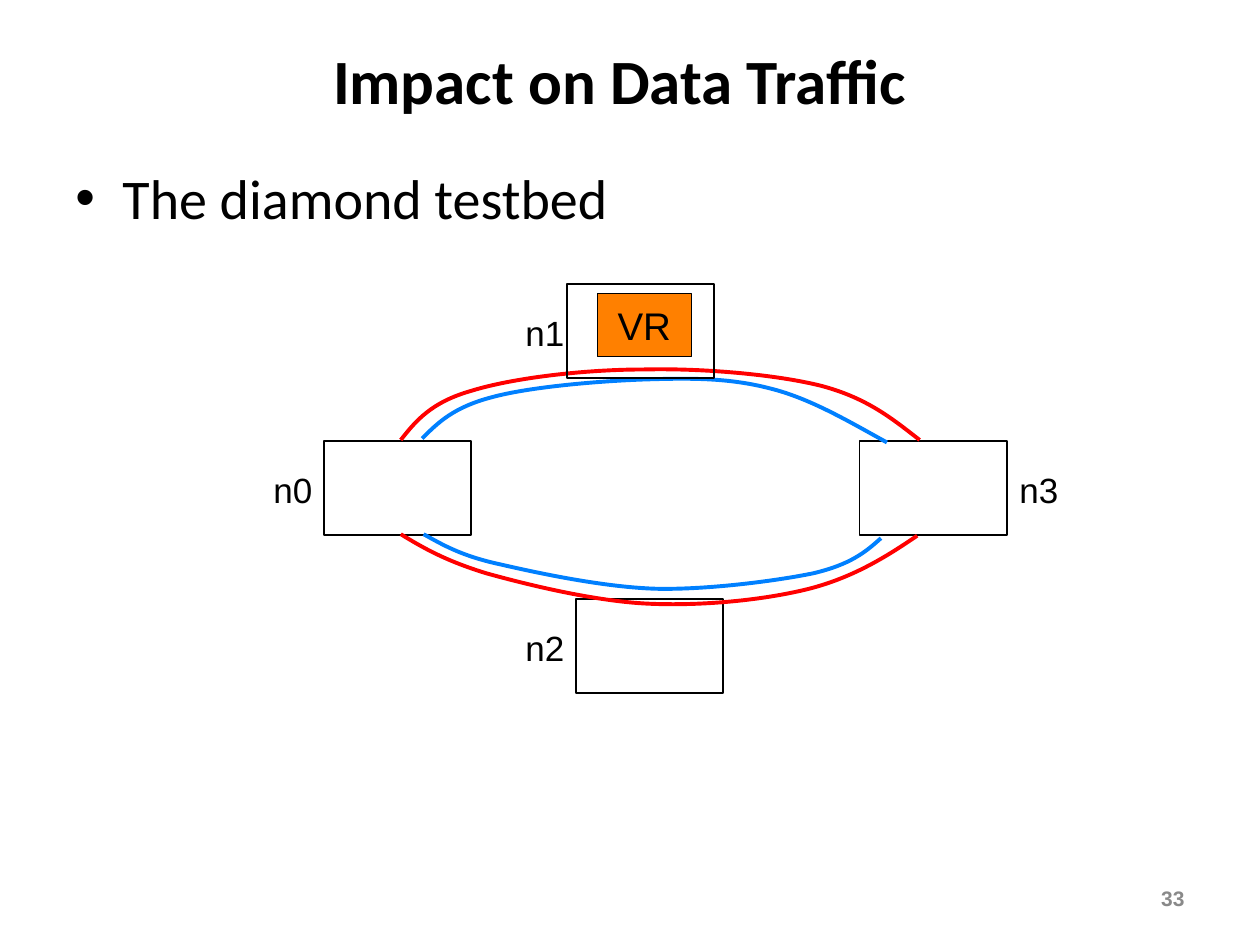
import pptx
import pptx.util
import pptx.dml.color
import pptx.enum.shapes
import pptx.enum.text
import pptx.oxml.ns
import lxml.etree

Cm = pptx.util.Cm
Pt = pptx.util.Pt
RGBColor = pptx.dml.color.RGBColor
Align = pptx.enum.text.PP_ALIGN
Anchor = pptx.enum.text.MSO_ANCHOR
qn = pptx.oxml.ns.qn

BLACK = RGBColor(0x00, 0x00, 0x00)
GREY = RGBColor(0x89, 0x89, 0x89)
ORANGE = RGBColor(0xFF, 0x80, 0x00)
RED = RGBColor(0xFF, 0x00, 0x00)
BLUE = RGBColor(0x00, 0x80, 0xFF)

NODE_W, NODE_H = 2.97, 1.9

# Node name: box left and top, label offset from box left
NODES = {
    "n0": (1.27, 3.17, -1.27),
    "n2": (6.35, 6.35, -1.27),
    "n3": (12.07, 3.17, NODE_W),
    "n1": (6.17, 0, -1.09),
}

# Each route: colour, then a start point and three points per Bezier arc
ROUTES = [
    (RED, [(2.82, 3.15),
           (3.12, 2.77), (3.43, 2.39), (4.24, 2.16),
           (5.08, 1.9), (6.53, 1.73), (7.72, 1.73),
           (8.89, 1.7), (10.39, 1.83), (11.3, 2.06),
           (12.24, 2.31), (12.75, 2.74), (13.28, 3.15)]),
    (BLUE, [(12.62, 3.2),
            (11.84, 2.77), (11.07, 2.31), (10.26, 2.11),
            (9.45, 1.9), (8.69, 1.9), (7.75, 1.93),
            (6.83, 1.96), (5.41, 2.08), (4.65, 2.29),
            (3.89, 2.49), (3.58, 2.79), (3.25, 3.12)]),
    (RED, [(2.82, 5.05),
           (3.28, 5.33), (3.73, 5.59), (4.55, 5.84),
           (5.38, 6.07), (6.73, 6.4), (7.8, 6.45),
           (8.89, 6.5), (10.13, 6.38), (11.05, 6.15),
           (11.94, 5.92), (12.6, 5.51), (13.23, 5.08)]),
    (BLUE, [(12.5, 5.13),
            (12.19, 5.41), (11.89, 5.66), (11.13, 5.84),
            (10.39, 5.99), (9.02, 6.17), (7.98, 6.15),
            (6.93, 6.12), (5.61, 5.84), (4.83, 5.66),
            (4.04, 5.49), (3.66, 5.26), (3.28, 5.05)]),
]


def put_text(shape, text, size=20, font="Arial", color=BLACK, bold=False,
             align=Align.LEFT, anchor=Anchor.TOP, wrap=True):
    """Write one formatted paragraph into a shape and return it."""
    frame = shape.text_frame
    frame.word_wrap = wrap
    frame.vertical_anchor = anchor
    para = frame.paragraphs[0]
    para.alignment = align
    run = para.add_run()
    run.text = text
    run.font.size = Pt(size)
    run.font.name = font
    run.font.bold = bold
    run.font.color.rgb = color
    return para


def add_box(slide, x, y, w, h):
    return slide.shapes.add_textbox(Cm(x), Cm(y), Cm(w), Cm(h))


def add_rect(slide, x, y, w, h, fill=None, width=1):
    rect = slide.shapes.add_shape(pptx.enum.shapes.MSO_SHAPE.RECTANGLE,
                                  Cm(x), Cm(y), Cm(w), Cm(h))
    rect.shadow.inherit = False
    if fill is None:
        rect.fill.background()
    else:
        rect.fill.solid()
        rect.fill.fore_color.rgb = fill
    rect.line.color.rgb = BLACK
    rect.line.width = Pt(width)
    return rect


def add_curve(slide, x, y, points, color):
    """Draw an open curve; each three line points become one Bezier arc."""
    start, *rest = [(Cm(x + dx), Cm(y + dy)) for dx, dy in points]
    pen = slide.shapes.build_freeform(*start)
    pen.add_line_segments(rest, close=False)
    curve = pen.convert_to_shape()
    curve.shadow.inherit = False
    curve.fill.background()
    curve.line.color.rgb = color
    curve.line.width = Pt(2.25)

    lines = list(curve.element.iter(qn("a:lnTo")))
    for first in range(0, len(lines), 3):
        arc = lxml.etree.Element(qn("a:cubicBezTo"))
        lines[first].addprevious(arc)
        for line in lines[first:first + 3]:
            arc.append(line[0])
            line.getparent().remove(line)


def add_title(slide, x, y, w, h):
    put_text(add_box(slide, x, y, w, h), "Impact on Data Traffic", size=36,
             font="Calibri", bold=True, align=Align.CENTER,
             anchor=Anchor.MIDDLE)


def add_body(slide, x, y, w, h):
    para = put_text(add_box(slide, x, y, w, h), "The diamond testbed",
                    size=32, font="Calibri")
    para.space_before = Pt(8)
    props = para._p.get_or_add_pPr()
    props.set("marL", str(Cm(0.95)))
    props.set("indent", str(-Cm(0.95)))
    lxml.etree.SubElement(props, qn("a:buFont")).set("typeface", "Arial")
    lxml.etree.SubElement(props, qn("a:buChar")).set("char", "•")


def add_net(slide, x, y):
    # Node labels
    for name, (left, top, shift) in NODES.items():
        put_text(add_box(slide, x + left + shift, y + top + 0.43, 1.3, 1.12),
                 name, wrap=False)

    # Virtual router inside n1
    router = add_rect(slide, x + 6.78, y + 0.2, 1.9, 1.27, ORANGE, 0.75)
    put_text(router, "VR", size=22, align=Align.CENTER, anchor=Anchor.MIDDLE)

    # Nodes and routes, with n1 in front of the routes
    *back, front = [(x + left, y + top) for left, top, _ in NODES.values()]
    for spot in back:
        add_rect(slide, *spot, NODE_W, NODE_H)
    for color, points in ROUTES:
        add_curve(slide, x, y, points, color)
    add_rect(slide, *front, NODE_W, NODE_H)


def add_number(slide, x, y, w, h):
    put_text(add_box(slide, x, y, w, h), "33", size=12, color=GREY, bold=True,
             align=Align.RIGHT, anchor=Anchor.MIDDLE)


def main():
    deck = pptx.Presentation()
    deck.slide_width, deck.slide_height = Cm(25.4), Cm(19.05)
    slide = deck.slides.add_slide(deck.slide_layouts[6])
    add_body(slide, 1.27, 3.18, 22.86, 12.57)
    add_number(slide, 18.21, 17.6, 5.92, 1.02)
    add_title(slide, 0.64, 0.64, 23.7, 1.9)
    add_net(slide, 5.26, 5.72)
    deck.save("out.pptx")


if __name__ == "__main__":
    main()
